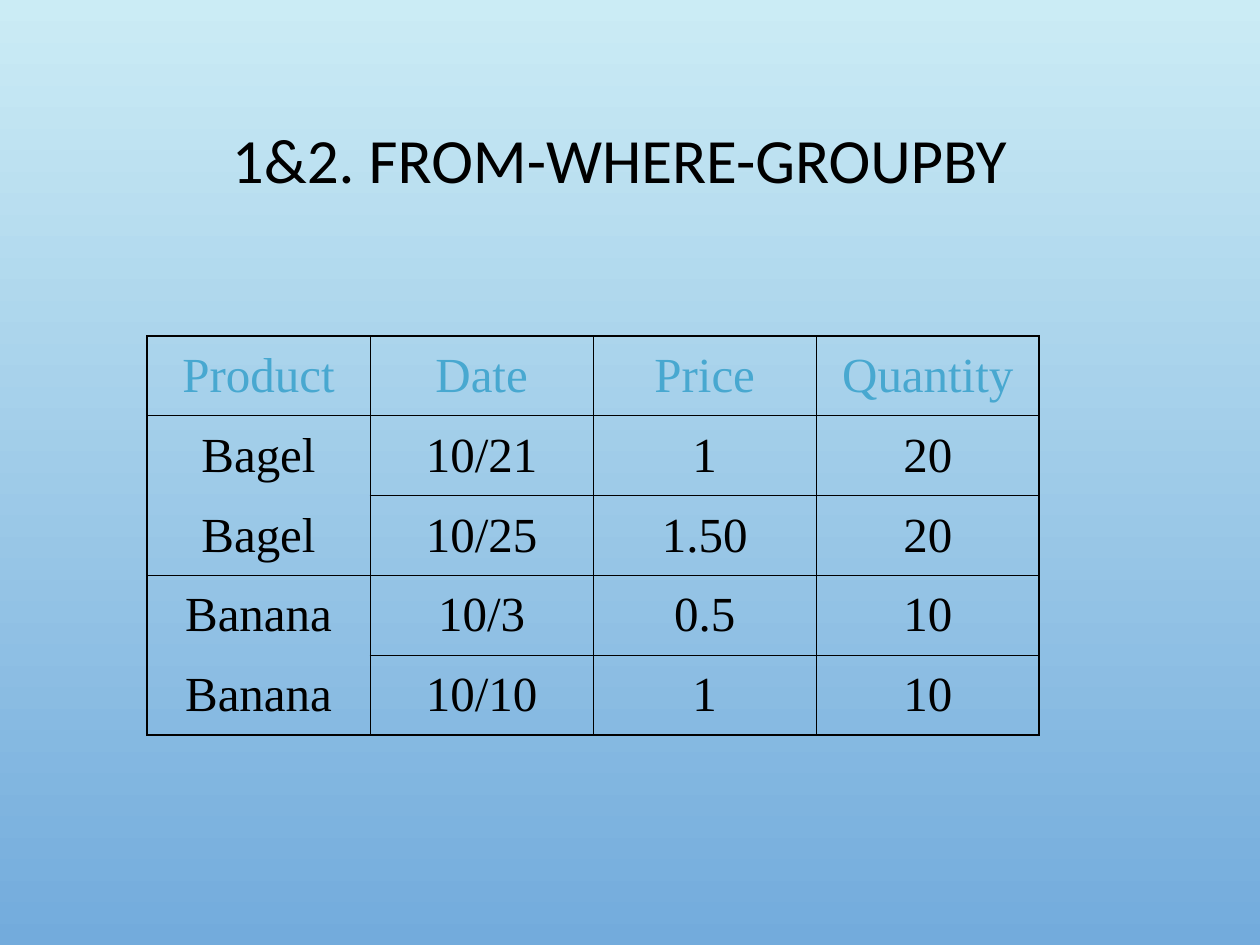
from lxml.etree import SubElement
from pptx import Presentation
from pptx.dml.color import RGBColor
from pptx.enum.text import MSO_ANCHOR as Anchor, PP_ALIGN as Align
from pptx.oxml.ns import qn
from pptx.util import Pt

SKY_TOP = RGBColor(0xCB, 0xEC, 0xF5)
SKY_BOTTOM = RGBColor(0x73, 0xAB, 0xDC)
BLACK = RGBColor(0, 0, 0)
HEADER_BLUE = RGBColor(0x48, 0xA8, 0xD0)

INNER_LINE, OUTER_LINE = Pt(0.45), Pt(1.08)
SALES = [
    ["Product", "Date", "Price", "Quantity"],
    ["Bagel", "10/21", "1", "20"],
    ["Bagel", "10/25", "1.50", "20"],
    ["Banana", "10/3", "0.5", "10"],
    ["Banana", "10/10", "1", "10"],
]


def paint_background(page):
    fill = page.background.fill
    fill.gradient()
    fill.gradient_angle = 270
    for stop, color in zip(fill.gradient_stops, (SKY_TOP, SKY_BOTTOM)):
        stop.color.rgb = color


def write_centred(para, text, font_name, size, color):
    para.alignment = Align.CENTER
    span = para.add_run()
    span.text = text
    span.font.name = font_name
    span.font.size = Pt(size)
    span.font.color.rgb = color


def add_title(page, text, left, top, width, height):
    frame = page.shapes.add_textbox(left, top, width, height).text_frame
    frame.word_wrap = True
    frame.vertical_anchor = Anchor.MIDDLE
    para = frame.paragraphs[0]
    para.line_spacing = 0.9
    write_centred(para, text, "Calibri", 36, BLACK)


def set_border(cell, side, width):
    """Draw one cell edge; a width of None hides it."""
    properties = cell._tc.get_or_add_tcPr()
    line = SubElement(properties, qn(f"a:ln{side}"))
    if width is None:
        SubElement(line, qn("a:noFill"))
        return
    line.set("w", str(int(width)))
    fill = SubElement(line, qn("a:solidFill"))
    SubElement(fill, qn("a:srgbClr")).set("val", str(BLACK))


def edge_widths(rows, row, column):
    """Give left, right, top and bottom widths; equal products share a group."""
    def horizontal(edge):
        if edge in (0, len(rows)):
            return OUTER_LINE
        same_group = column == 0 and rows[edge - 1][0] == rows[edge][0]
        return None if same_group else INNER_LINE

    def vertical(edge):
        return OUTER_LINE if edge in (0, len(rows[0])) else INNER_LINE

    return {"L": vertical(column), "R": vertical(column + 1),
            "T": horizontal(row), "B": horizontal(row + 1)}


def add_sales_table(page, rows, left, top, width, height):
    table = page.shapes.add_table(
        len(rows), len(rows[0]), left, top, width, height).table
    table.first_row = table.horz_banding = False
    for row, values in enumerate(rows):
        for column, value in enumerate(values):
            cell = table.cell(row, column)
            for side, line_width in edge_widths(rows, row, column).items():
                set_border(cell, side, line_width)
            cell.fill.background()
            cell.vertical_anchor = Anchor.MIDDLE
            color = HEADER_BLUE if row == 0 else BLACK
            write_centred(cell.text_frame.paragraphs[0], value,
                          "Times New Roman", 28, color)


def main():
    deck = Presentation()
    deck.slide_width, deck.slide_height = Pt(720), Pt(540)
    page = deck.slides.add_slide(deck.slide_layouts[6])
    paint_background(page)
    add_title(page, "1&2. FROM-WHERE-GROUPBY", Pt(30), Pt(48), Pt(648), Pt(90))
    add_sales_table(page, SALES, Pt(84), Pt(192), Pt(510), Pt(228))
    deck.save("out.pptx")


if __name__ == "__main__":
    main()
